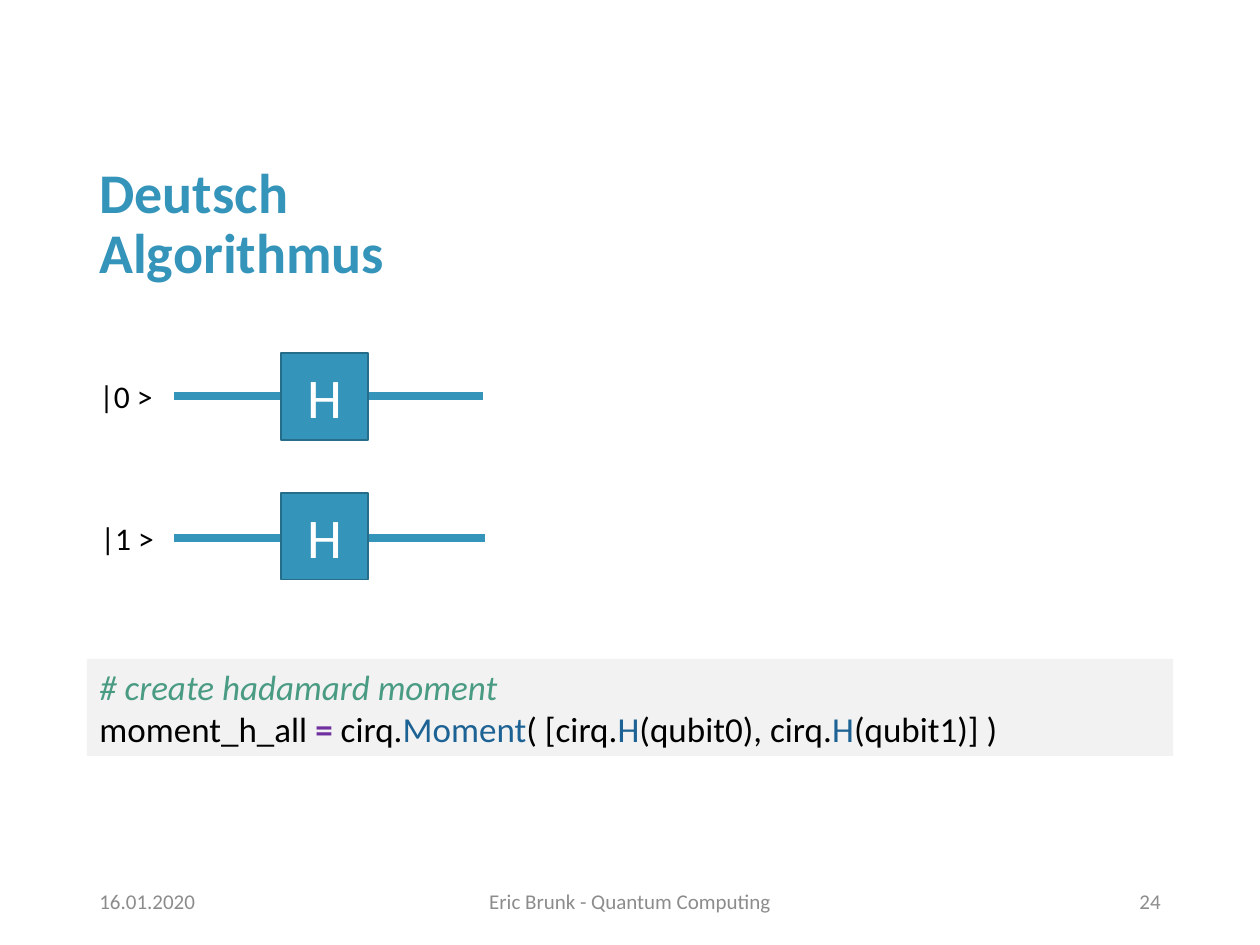
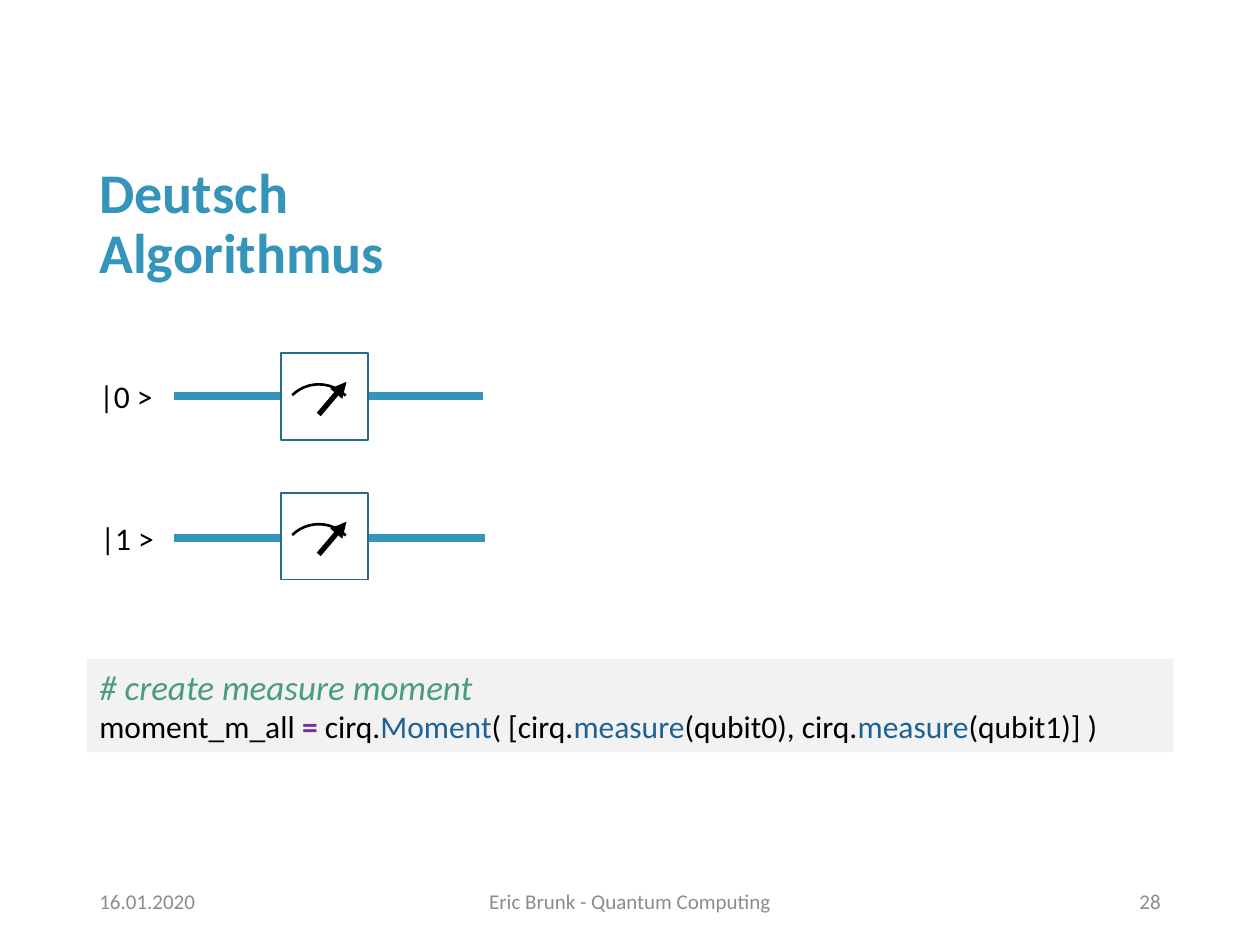
from lxml import etree
from pptx import Presentation
from pptx.dml.color import RGBColor
from pptx.enum.shapes import MSO_CONNECTOR, MSO_SHAPE
from pptx.enum.text import MSO_ANCHOR, MSO_AUTO_SIZE, PP_ALIGN
from pptx.oxml.ns import qn
from pptx.util import Inches, Pt

RECT, ARC = MSO_SHAPE.RECTANGLE, MSO_SHAPE.ARC
STRAIGHT = MSO_CONNECTOR.STRAIGHT
LEFT, CENTER, RIGHT = PP_ALIGN.LEFT, PP_ALIGN.CENTER, PP_ALIGN.RIGHT
TOP, MIDDLE = MSO_ANCHOR.TOP, MSO_ANCHOR.MIDDLE
GROW = MSO_AUTO_SIZE.SHAPE_TO_FIT_TEXT

FONT = "Calibri"
BLUE, EDGE, GRAY, PALE = "3494BA", "266D8A", "8C8C8C", "F2F2F2"
BLACK, WHITE = "000000", "FFFFFF"
GREEN, PURPLE, NAVY = "4A9B83", "7030A0", "1D6294"

MARGIN = 0.69
GATE_X, GATE = 2.23, 0.69
# label, label left, wire y, wire end, gate top
QUBITS = [("|0 >", 0.69, 3.14, 3.83, 2.8), ("|1 >", 0.7, 4.27, 3.85, 3.91)]


def color(code):
    return RGBColor.from_string(code)


def style(par, size, code, align=LEFT):
    par.alignment = align
    font = par.font
    font.name, font.size = FONT, Pt(size)
    font.color.rgb = color(code)


def add_text(slide, box, text, size, code, align=LEFT, anchor=MIDDLE):
    shape = slide.shapes.add_textbox(*map(Inches, box))
    frame = shape.text_frame
    frame.word_wrap = True
    frame.vertical_anchor = anchor
    frame.text = text
    style(frame.paragraphs[0], size, code, align)
    return frame


def add_box(slide, kind, box, fill=None, line=None, width=1):
    shape = slide.shapes.add_shape(kind, *map(Inches, box))
    shape.shadow.inherit = False
    if fill:
        shape.fill.solid()
        shape.fill.fore_color.rgb = color(fill)
    else:
        shape.fill.background()
    if line:
        shape.line.color.rgb = color(line)
        shape.line.width = Pt(width)
    else:
        shape.line.fill.background()
    return shape


def add_line(slide, start, end, code, width, arrow=False):
    line = slide.shapes.add_connector(STRAIGHT, *map(Inches, start + end))
    line.line.color.rgb = color(code)
    line.line.width = Pt(width)
    props = line._element.spPr
    if arrow:
        etree.SubElement(props.find(qn("a:ln")), qn("a:tailEnd"), type="triangle")
    etree.SubElement(props, qn("a:effectLst"))


def add_frame(slide, number):
    """Title and footer shared by the slides."""
    title = add_text(slide, (MARGIN, 1.41, 3.89, 0.76),
                     "Deutsch Algorithmus", 32, BLUE)
    title.paragraphs[0].font.bold = True
    title.paragraphs[0].line_spacing = 0.9
    for left, width, text, align in (
            (MARGIN, 2.25, "16.01.2020", LEFT),
            (3.31, 3.38, "Eric Brunk - Quantum Computing", CENTER),
            (7.06, 2.25, number, RIGHT)):
        add_text(slide, (left, 6.95, width, 0.4), text, 12, GRAY, align)


def hadamard(slide, top):
    gate = add_box(slide, RECT, (GATE_X, top, GATE, GATE), BLUE, EDGE)
    frame = gate.text_frame
    frame.text = "H"
    frame.vertical_anchor = MIDDLE
    style(frame.paragraphs[0], 32, WHITE, CENTER)


def meter(slide, top):
    add_box(slide, RECT, (GATE_X, top, GATE, GATE), WHITE, EDGE)
    dial = add_box(slide, ARC, (GATE_X, top + 0.25, 0.6, 0.6), None, BLACK, 1.5)
    dial.rotation = 315.5
    add_line(slide, (GATE_X + 0.3, top + 0.49), (GATE_X + 0.52, top + 0.23),
             BLACK, 3, arrow=True)


def add_circuit(slide, gate):
    for label, left, wire, end, top in QUBITS:
        add_line(slide, (1.38, wire), (end, wire), BLUE, 4.5)
        frame = add_text(slide, (left, wire - 0.2, 0.63, 0.4),
                         label, 18, BLACK, anchor=TOP)
        frame.word_wrap = False
        frame.auto_size = GROW
        gate(slide, top)


def add_code(slide, height, note, name, call, size):
    panel = add_box(slide, RECT, (MARGIN, 5.23, 8.62, height), PALE)
    frame = panel.text_frame
    frame.word_wrap = True
    frame.auto_size = GROW
    frame.vertical_anchor = TOP
    frame.text = note
    head = frame.paragraphs[0]
    style(head, 20, GREEN)
    head.font.italic = True
    code = frame.add_paragraph()
    style(code, size, BLACK)
    for text, tint in (
            (name + " ", BLACK), ("= ", PURPLE), ("cirq.", BLACK),
            ("Moment", NAVY), ("( [cirq.", BLACK), (call, NAVY),
            ("(qubit0), cirq.", BLACK), (call, NAVY), ("(qubit1)] )", BLACK)):
        run = code.add_run()
        run.text = text
        run.font.color.rgb = color(tint)
        run.font.bold = tint == PURPLE


def main():
    deck = Presentation()
    deck.slide_width, deck.slide_height = Inches(10), Inches(7.5)
    for number, gate, code in (
            ("24", hadamard,
             (0.77, "# create hadamard moment", "moment_h_all", "H", 20)),
            ("28", meter,
             (0.74, "# create measure moment", "moment_m_all", "measure", 18))):
        slide = deck.slides.add_slide(deck.slide_layouts[6])
        add_frame(slide, number)
        add_circuit(slide, gate)
        add_code(slide, *code)
    deck.save("out.pptx")


if __name__ == "__main__":
    main()
